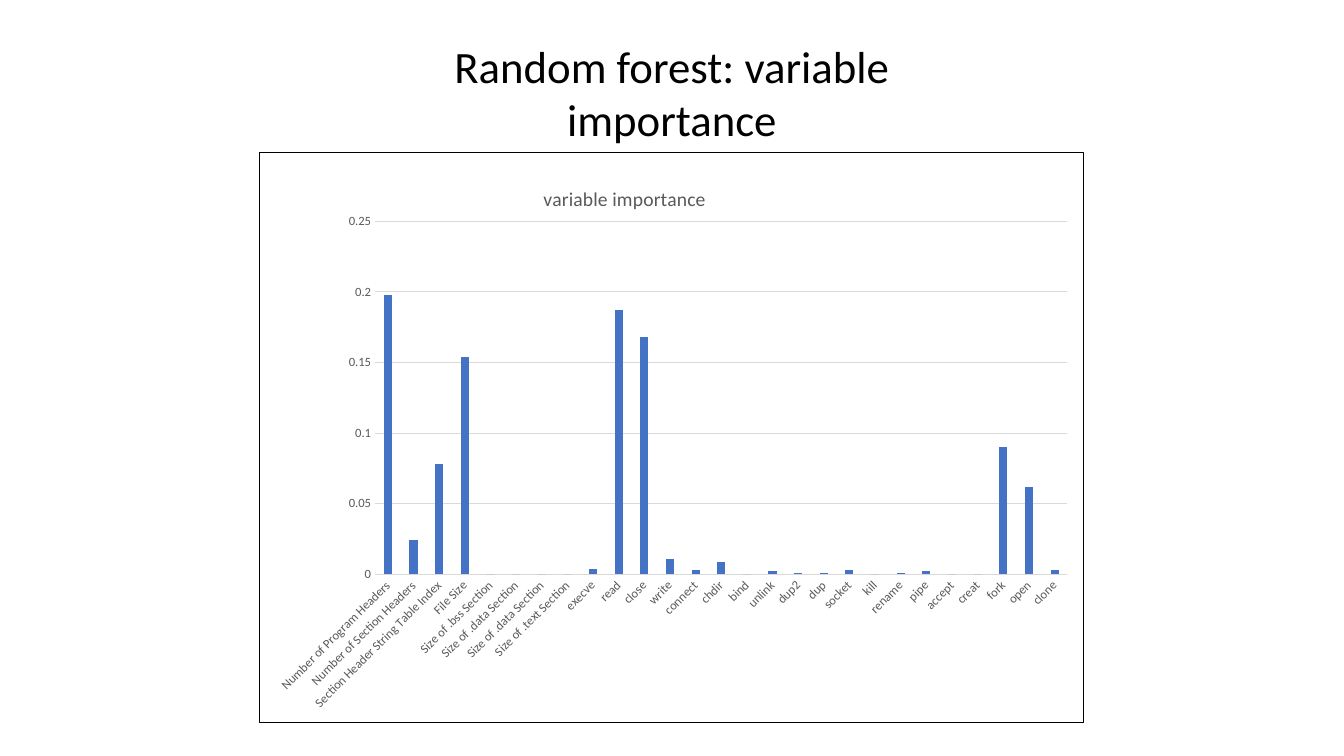
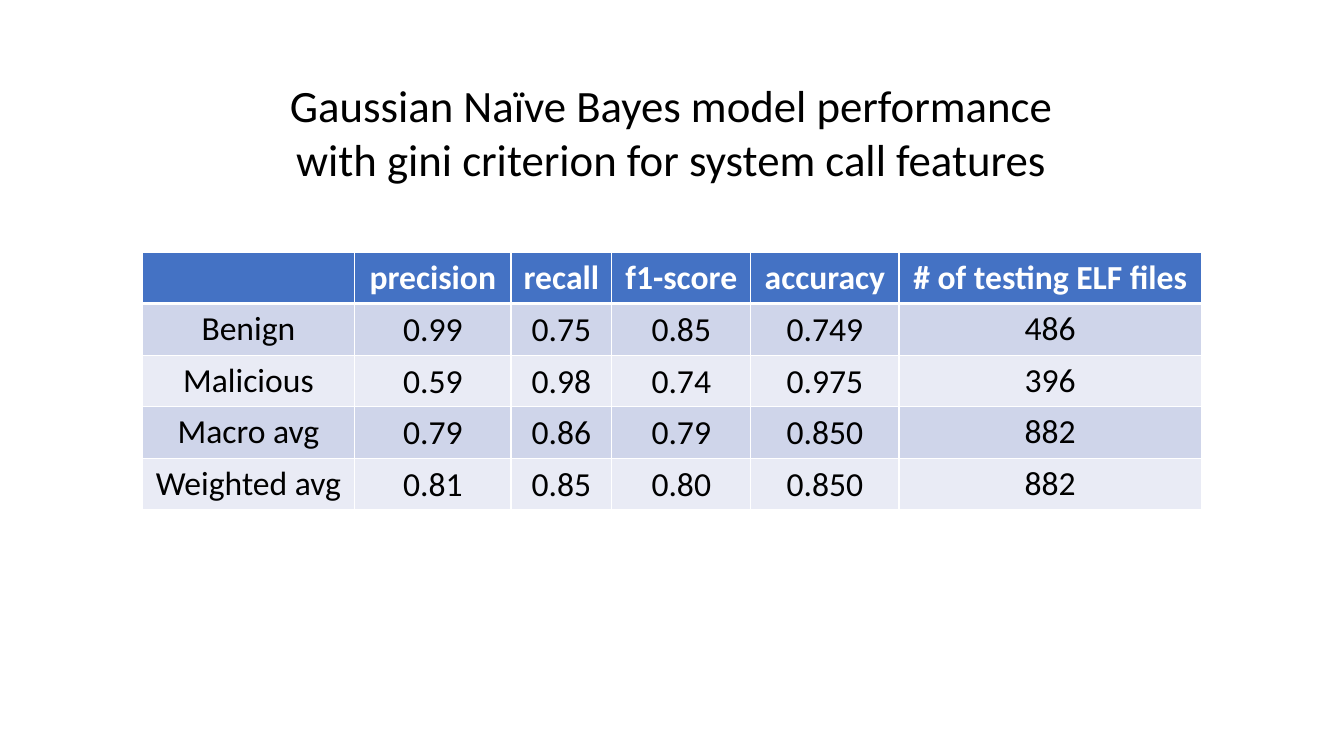
from pptx import Presentation
from pptx.chart.data import CategoryChartData
from pptx.dml.color import RGBColor as RGB
from pptx.enum.chart import XL_CHART_TYPE as ChartType, XL_TICK_MARK as Tick
from pptx.enum.text import MSO_ANCHOR as Anchor, MSO_AUTO_SIZE as AutoSize, PP_ALIGN as Align
from pptx.oxml import parse_xml
from pptx.oxml.ns import nsdecls, qn
from pptx.util import Cm, Pt

FONT = "Calibri"
COLORS = {
    "text": "000000", "white": "FFFFFF", "accent": "4472C4",
    "band_dark": "CFD5EA", "band_light": "E9EBF5",
    "label": "595959", "grid": "D9D9D9",
}
TITLE_ONLY = 5

IMPORTANCE = {
    "Number of Program Headers": 0.198, "Number of Section Headers": 0.024,
    "Section Header String Table Index": 0.078, "File Size": 0.154,
}
SECTIONS = [".bss", ".data", ".data", ".text"]
CALLS = {
    "execve": 0.004, "read": 0.187, "close": 0.168, "write": 0.011,
    "connect": 0.003, "chdir": 0.009, "bind": 0, "unlink": 0.002,
    "dup2": 0.001, "dup": 0.001, "socket": 0.003, "kill": 0,
    "rename": 0.001, "pipe": 0.002, "accept": 0, "creat": 0,
    "fork": 0.09, "open": 0.062, "clone": 0.003,
}
# A list of pairs, because one section name occurs twice
FEATURES = [*IMPORTANCE.items(),
            *((f"Size of {name} Section", 0) for name in SECTIONS),
            *CALLS.items()]

SCORES = [
    ["", "precision", "recall", "f1-score", "accuracy", "# of testing ELF files"],
    ["Benign", "0.99", "0.75", "0.85", "0.749", "486"],
    ["Malicious", "0.59", "0.98", "0.74", "0.975", "396"],
    ["Macro avg", "0.79", "0.86", "0.79", "0.850", "882"],
    ["Weighted avg", "0.81", "0.85", "0.80", "0.850", "882"],
]
COL_SHARES = [2.11, 1.55, 1, 1.38, 1.47, 3]


def rgb(name):
    return RGB.from_string(COLORS[name])


def set_font(font, size, color="text", bold=False):
    font.name, font.size, font.bold = FONT, Pt(size), bold
    font.color.rgb = rgb(color)


def put_text(tf, text, size=24, color="text", bold=False, align=Align.CENTER):
    p = tf.paragraphs[0]
    p.alignment = align
    r = p.add_run()
    r.text = text
    set_font(r.font, size, color, bold)


def add_titled_slide(prs, text, box):
    s = prs.slides.add_slide(prs.slide_layouts[TITLE_ONLY])
    sp = s.shapes.title
    sp.left, sp.top, sp.width, sp.height = box
    tf = sp.text_frame
    tf.word_wrap = True
    tf.auto_size = AutoSize.SHAPE_TO_FIT_TEXT
    tf.vertical_anchor = Anchor.TOP
    put_text(tf, text, size=32)
    return s


def chart_layout(x, y, w=None, h=None):
    """Manual layout in fractions of the chart box."""
    target = "" if w is None else '<c:layoutTarget val="inner"/>'
    size = "" if w is None else f'<c:w val="{w}"/><c:h val="{h}"/>'
    return parse_xml(
        f'<c:layout {nsdecls("c")}><c:manualLayout>{target}'
        f'<c:xMode val="edge"/><c:yMode val="edge"/>'
        f'<c:x val="{x}"/><c:y val="{y}"/>{size}</c:manualLayout></c:layout>')


def replace_layout(parent, layout, index):
    for old in parent.findall(qn("c:layout")):
        parent.remove(old)
    parent.insert(index, layout)


def add_importance_chart(s, box):
    data = CategoryChartData()
    data.categories = [name for name, _ in FEATURES]
    data.add_series("Series 1", [value for _, value in FEATURES])
    chart = s.shapes.add_chart(ChartType.COLUMN_CLUSTERED, *box, data).chart
    set_font(chart.font, 10)
    chart.has_legend = False

    # Title
    chart.has_title = True
    put_text(chart.chart_title.text_frame, "variable importance", size=14, color="label")
    chart.chart_title.include_in_layout = False
    root = chart.element
    replace_layout(root.find(".//" + qn("c:title")), chart_layout(0.34, 0.05), 1)
    replace_layout(root.find(".//" + qn("c:plotArea")),
                   chart_layout(0.14, 0.12, 0.84, 0.62), 0)

    # Columns
    plot = chart.plots[0]
    plot.gap_width, plot.overlap, plot.vary_by_categories = 219, -27, False
    fill = plot.series[0].format.fill
    fill.solid()
    fill.fore_color.rgb = rgb("accent")

    # Axes
    cat, val = chart.category_axis, chart.value_axis
    for axis in (cat, val):
        axis.major_tick_mark = axis.minor_tick_mark = Tick.NONE
        set_font(axis.tick_labels.font, 9, "label")
    val.minimum_scale, val.maximum_scale, val.major_unit = 0, 0.25, 0.05
    val.format.line.fill.background()
    val.has_major_gridlines = True
    for line in (cat.format.line, val.major_gridlines.format.line):
        line.color.rgb = rgb("grid")
        line.width = Pt(0.75)
    slant = cat._element.find(qn("c:txPr")).find(qn("a:bodyPr"))
    slant.set("rot", "-2700000")
    slant.set("vert", "horz")

    # Frame
    root.find(qn("c:chart")).addnext(parse_xml(
        f'<c:spPr {nsdecls("c", "a")}><a:noFill/><a:ln w="{Pt(0.75)}"><a:solidFill>'
        f'<a:srgbClr val="{COLORS["text"]}"/></a:solidFill></a:ln></c:spPr>'))


def set_borders(cell, **widths):
    for side in "LRTB":
        cell._tc.get_or_add_tcPr().append(parse_xml(
            f'<a:ln{side} {nsdecls("a")} w="{Pt(widths.get(side, 1))}"><a:solidFill>'
            f'<a:srgbClr val="{COLORS["white"]}"/></a:solidFill></a:ln{side}>'))


def add_score_table(s, box):
    n_rows, n_cols = len(SCORES), len(COL_SHARES)
    table = s.shapes.add_table(n_rows, n_cols, *box).table
    width, height = box[2:]
    for col, share in zip(table.columns, COL_SHARES):
        col.width = int(width * share / sum(COL_SHARES))
    for i, values in enumerate(SCORES):
        table.rows[i].height = int(height / n_rows)
        header = i == 0
        band = "accent" if header else "band_dark" if i % 2 else "band_light"
        for j, text in enumerate(values):
            cell = table.cell(i, j)
            set_borders(cell, **({"B": 3} if header else {"T": 3} if i == 1 else {}))
            cell.fill.solid()
            cell.fill.fore_color.rgb = rgb(band)
            cell.vertical_anchor = Anchor.MIDDLE
            if not header and 0 < j < n_cols - 1:
                cell.margin_left = cell.margin_right = cell.margin_top = Cm(0.03)
                cell.margin_bottom = 0
            if text:
                put_text(cell.text_frame, text, bold=header,
                         color="white" if header else "text")


def main():
    prs = Presentation()
    prs.slide_width, prs.slide_height = Cm(33.87), Cm(19.05)

    s = add_titled_slide(prs, "Random forest: variable importance",
                         (Cm(9.8), Cm(0.84), Cm(14.27), Cm(3)))
    add_importance_chart(s, (Cm(6.53), Cm(3.84), Cm(20.8), Cm(14.38)))

    s = add_titled_slide(
        prs, "Gaussian Naïve Bayes model performance with gini criterion "
        "for system call features", (Cm(5.92), Cm(1.83), Cm(22), Cm(3)))
    add_score_table(s, (Cm(3.58), Cm(6.35), Cm(26.7), Cm(6.5)))

    prs.save("out.pptx")


if __name__ == "__main__":
    main()
